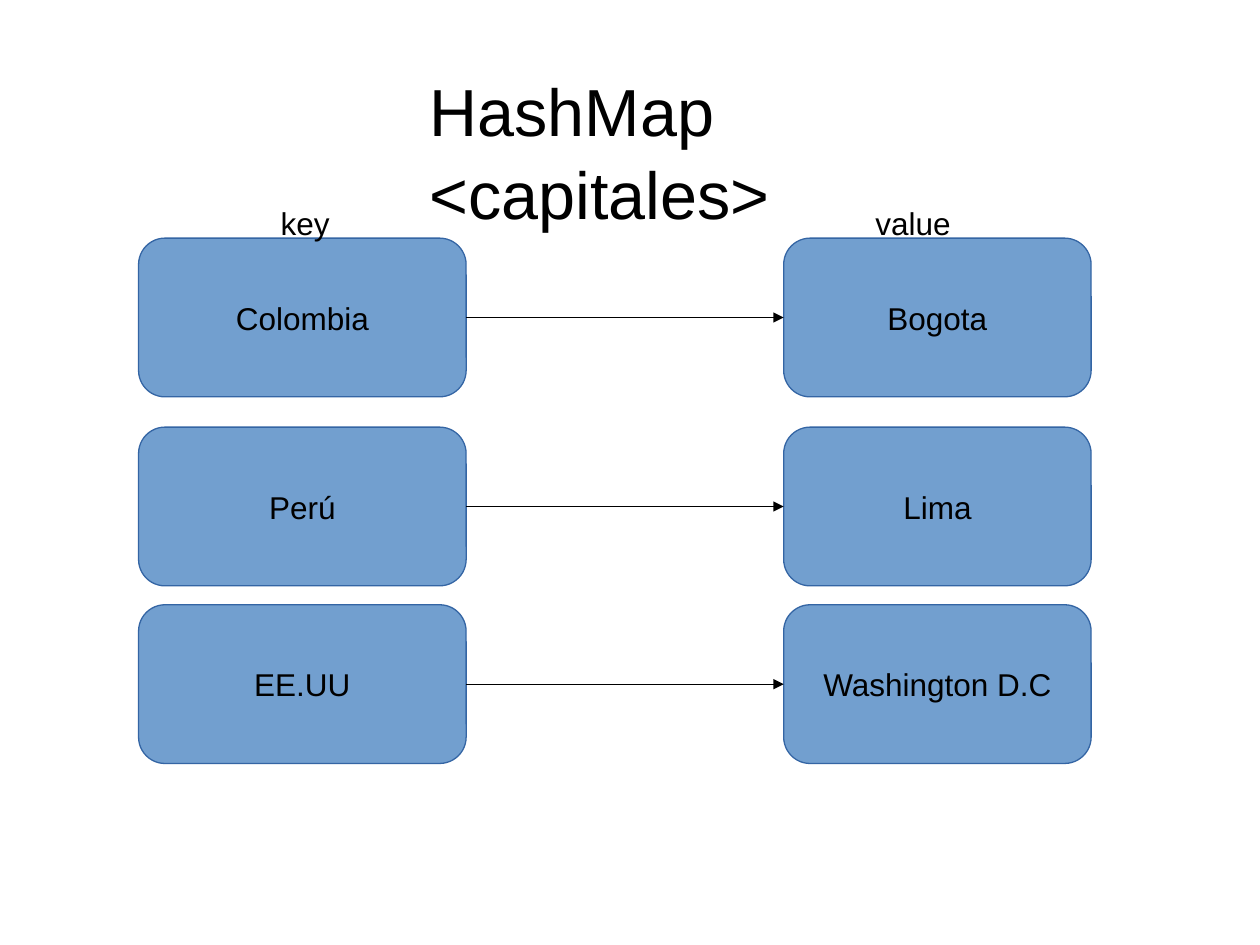
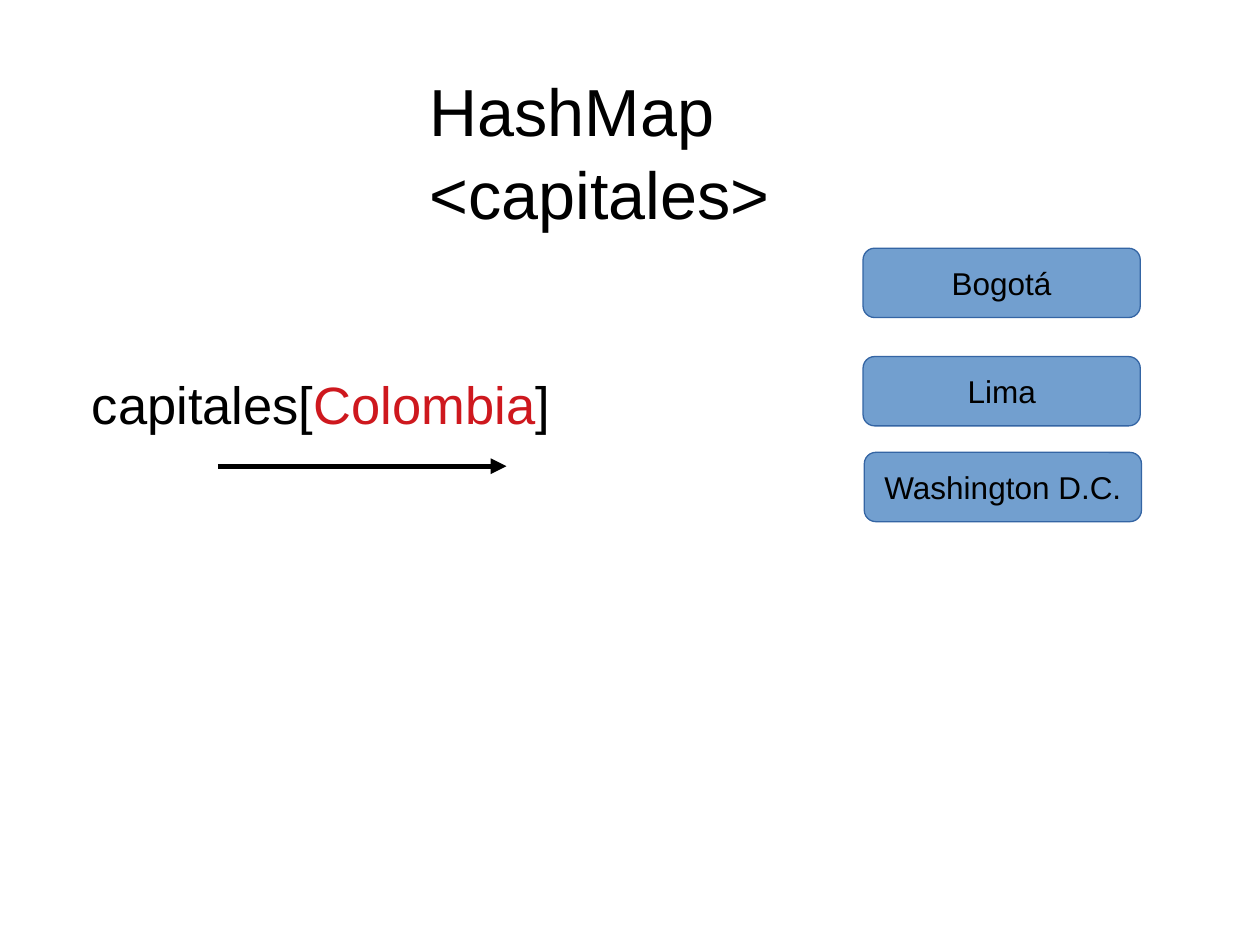
from pptx import Presentation
from pptx.dml.color import RGBColor
from pptx.enum.shapes import MSO_CONNECTOR, MSO_SHAPE
from pptx.enum.text import MSO_ANCHOR, MSO_AUTO_SIZE, PP_ALIGN
from pptx.oxml.ns import qn
from pptx.util import Inches, Pt
from lxml.etree import SubElement

FONT = "Arial"
BLACK = "000000"
RED = "CE181E"
BOX_FILL = "729FCF"
BOX_LINE = "3465A4"
TITLE = "HashMap <capitales>"


def paint(fill, colour):
    fill.solid()
    fill.fore_color.rgb = RGBColor.from_string(colour)


def write(frame, *parts, size=18, align=PP_ALIGN.LEFT, anchor=MSO_ANCHOR.TOP,
          wrap=True, spacing=None):
    frame.auto_size = MSO_AUTO_SIZE.NONE
    frame.word_wrap = wrap
    frame.vertical_anchor = anchor
    para = frame.paragraphs[0]
    para.alignment = align
    para.line_spacing = spacing
    for text, colour in parts:
        span = para.add_run()
        span.text = text
        span.font.name = FONT
        span.font.size = Pt(size)
        paint(span.font.fill, colour)


deck = Presentation()
deck.slide_width = Inches(10)
deck.slide_height = Inches(7.5)

pages = []
for _ in range(2):
    page = deck.slides.add_slide(deck.slide_layouts[5])
    title = page.shapes.title
    title.left, title.top = Inches(3.31), Inches(0.47)
    title.width, title.height = Inches(3.23), Inches(1.28)
    write(title.text_frame, (TITLE, BLACK), size=38, spacing=1.05)
    pages.append(page)
map_page, lookup_page = pages

KEY_LEFT, KEY_WIDTH = 1.1, 2.6
VALUE_LEFT, VALUE_WIDTH = 6.22, 2.44
ENTRY_HEIGHT = 1.26
entries = [
    ("Colombia", "Bogota", 1.89),
    ("Perú", "Lima", 3.39),
    ("EE.UU", "Washington D.C", 4.8),
]

boxes = []
arrows = []
for key, value, top in entries:
    boxes.append((map_page, key, KEY_LEFT, top, KEY_WIDTH, ENTRY_HEIGHT))
    boxes.append((map_page, value, VALUE_LEFT, top, VALUE_WIDTH, ENTRY_HEIGHT))
    middle = top + ENTRY_HEIGHT / 2
    arrows.append((map_page, KEY_LEFT + KEY_WIDTH, VALUE_LEFT, middle, 0.75))

for capital, left, top in [
    ("Bogotá", 6.85, 1.97),
    ("Lima", 6.85, 2.83),
    ("Washington D.C.", 6.86, 3.59),
]:
    boxes.append((lookup_page, capital, left, top, 2.2, 0.55))
arrows.append((lookup_page, 1.73, 4.02, 3.7, 3))

for page, text, left, top, width, height in boxes:
    box = page.shapes.add_shape(
        MSO_SHAPE.ROUNDED_RECTANGLE,
        Inches(left), Inches(top), Inches(width), Inches(height))
    box.shadow.inherit = False
    paint(box.fill, BOX_FILL)
    paint(box.line.fill, BOX_LINE)
    box.line.width = Pt(0.75)
    write(box.text_frame, (text, BLACK), align=PP_ALIGN.CENTER,
          anchor=MSO_ANCHOR.MIDDLE, wrap=False)

for page, start, end, middle, weight in arrows:
    arrow = page.shapes.add_connector(
        MSO_CONNECTOR.STRAIGHT,
        Inches(start), Inches(middle), Inches(end), Inches(middle))
    paint(arrow.line.fill, BLACK)
    arrow.line.width = Pt(weight)
    SubElement(arrow.line._get_or_add_ln(), qn("a:tailEnd"), type="triangle")
    SubElement(arrow._element.spPr, qn("a:effectLst"))

for heading, left in [("key", 2.13), ("value", 6.85)]:
    label = map_page.shapes.add_textbox(
        Inches(left), Inches(1.57), Inches(1.34), Inches(0.38))
    write(label.text_frame, (heading, BLACK))

expression = lookup_page.shapes.add_textbox(
    Inches(0.63), Inches(2.9), Inches(4.25), Inches(0.88))
write(expression.text_frame, ("capitales[", BLACK), ("Colombia", RED),
      ("]", BLACK), size=30)

deck.save("out.pptx")
